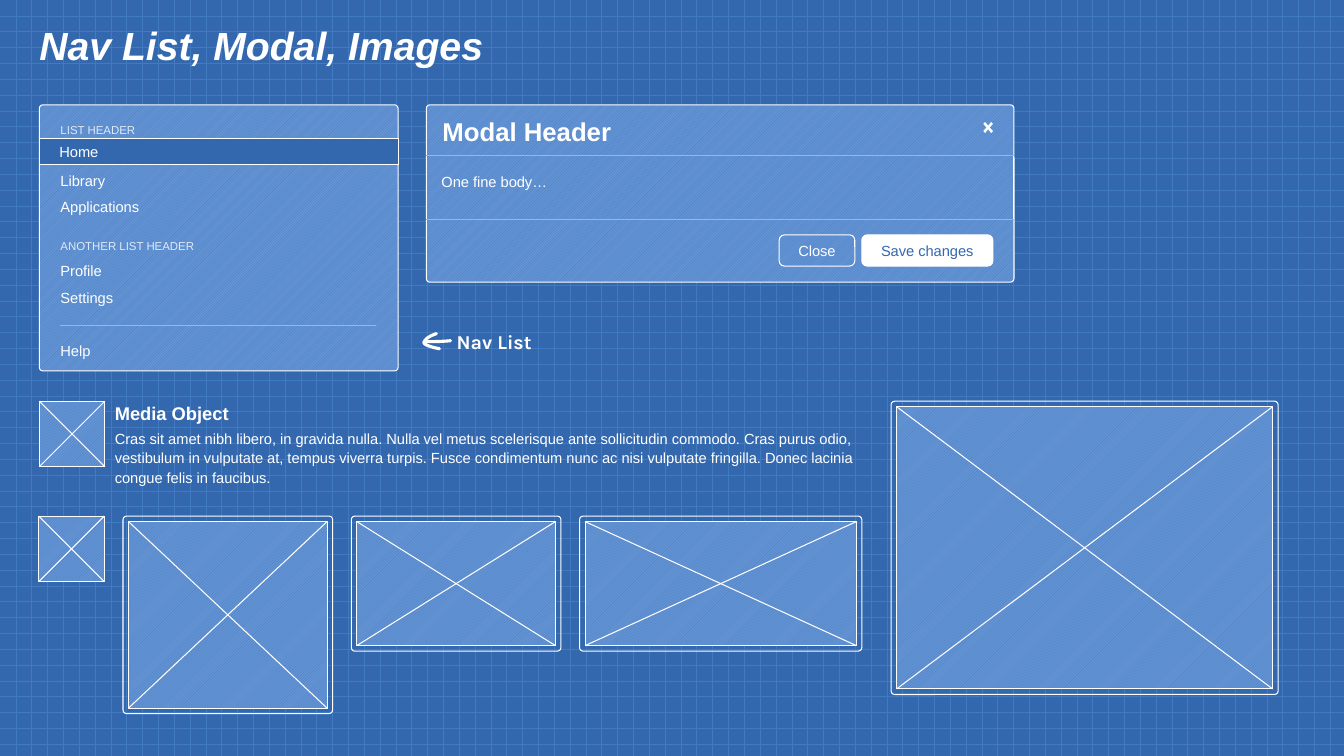
from dataclasses import dataclass

from lxml import etree
from pptx import Presentation
from pptx import util as u
from pptx.dml.color import RGBColor
from pptx.enum import dml, shapes, text
from pptx.oxml import ns

COLORS = {"paper": "3368AF", "grid": "407AC0", "panel": "6493D2", "hatch": "437CC9",
          "white": "FFFFFF", "rule": "97B7E1", "caption": "DFE8F5"}
COLUMNS, ROWS = 133.33, 75  # square cells, a tenth of an inch
CELL = u.Inches(0.1)
RADIUS = 0.36  # corner radius of panels and frames, in cells
MAT = 0.55  # gap between a frame and its image, in cells
BODY = 10.5
TOP, MIDDLE = text.MSO_ANCHOR.TOP, text.MSO_ANCHOR.MIDDLE


@dataclass(frozen=True)
class Area:
    """A rectangle in grid cells."""
    left: float
    top: float
    width: float
    height: float

    @property
    def right(self) -> float:
        """Right edge."""
        return self.left + self.width

    @property
    def bottom(self) -> float:
        """Bottom edge."""
        return self.top + self.height

    def inset(self, gap: float) -> "Area":
        """The area shrunk by a gap on every side."""
        return Area(self.left + gap, self.top + gap, self.width - 2 * gap, self.height - 2 * gap)

    def emu(self) -> list:
        """Left, top, width and height as lengths."""
        return [cells(n) for n in (self.left, self.top, self.width, self.height)]


@dataclass(frozen=True)
class Line:
    """A paragraph with its look."""
    words: str
    size: float = BODY
    color: str = "white"
    bold: bool = False
    spacing: float = 1.0
    before: float = 0
    after: float = 0
    font: str = "Arial"


@dataclass(frozen=True)
class Image:
    """An image stand-in, with or without a frame."""
    area: Area
    framed: bool = True


def cells(count: float) -> int:
    """Turn grid cells into a length."""
    return u.Emu(round(count * CELL))


def rgb(name: str) -> RGBColor:
    """Look up a colour."""
    return RGBColor.from_string(COLORS[name])


def paint(fill, name: str) -> None:
    """Fill with a plain colour, the panel hatch, or nothing."""
    if name == "none":
        fill.background()
    elif name == "panel":
        hatch(fill, dml.MSO_PATTERN.LIGHT_UPWARD_DIAGONAL, "hatch", "panel")
    else:
        fill.solid()
        fill.fore_color.rgb = rgb(name)


def hatch(fill, pattern, front: str, back: str) -> None:
    """Fill with a two-colour pattern."""
    fill.patterned()
    fill.pattern = pattern
    fill.fore_color.rgb, fill.back_color.rgb = rgb(front), rgb(back)


def write(box, lines: list, insets: tuple = (1, 0.5), anchor=TOP,
          align=text.PP_ALIGN.LEFT, wrap: bool = True) -> None:
    """Put paragraphs in a box; insets are side and top, in cells."""
    frame = box.text_frame
    frame.word_wrap, frame.vertical_anchor = wrap, anchor
    frame.margin_left = frame.margin_right = cells(insets[0])
    frame.margin_top, frame.margin_bottom = cells(insets[1]), cells(0.5)
    for index, line in enumerate(lines):
        para = frame.add_paragraph() if index else frame.paragraphs[0]
        para.text, para.alignment = line.words, align
        para.line_spacing = line.spacing
        para.space_before, para.space_after = u.Pt(line.before), u.Pt(line.after)
        para.font.name, para.font.size = line.font, u.Pt(line.size)
        para.font.bold, para.font.color.rgb = line.bold, rgb(line.color)


def add_box(page, area: Area, fill: str = "panel", radius: float = 0):
    """Draw a white-edged box, rounded when a radius is given."""
    kind = shapes.MSO_SHAPE.ROUNDED_RECTANGLE if radius else shapes.MSO_SHAPE.RECTANGLE
    box = page.shapes.add_shape(kind, *area.emu())
    box.shadow.inherit = False
    if radius:
        box.adjustments[0] = radius / min(area.width, area.height)
    paint(box.fill, fill)
    box.line.color.rgb, box.line.width = rgb("white"), u.Pt(0.75)
    return box


def add_rule(page, x1: float, y1: float, x2: float, y2: float, color: str = "white") -> None:
    """Draw a thin straight line."""
    rule = page.shapes.add_connector(shapes.MSO_CONNECTOR.STRAIGHT,
                                     *[cells(n) for n in (x1, y1, x2, y2)])
    rule.line.color.rgb, rule.line.width = rgb(color), u.Pt(0.75)
    etree.SubElement(rule._element.spPr, ns.qn("a:effectLst"))


def add_outline(page, points: list, closed: bool) -> None:
    """Draw a filled shape, or an open stroke, through points given in cells."""
    corners = [(cells(x), cells(y)) for x, y in points]
    builder = page.shapes.build_freeform(*corners[0])
    builder.add_line_segments(corners[1:], close=closed)
    outline = builder.convert_to_shape()
    outline.shadow.inherit = False
    paint(outline.fill, "white" if closed else "none")
    if closed:
        outline.line.fill.background()
    else:
        outline.line.color.rgb, outline.line.width = rgb("white"), u.Pt(2.25)
        outline.line._get_or_add_ln().set("cap", "rnd")


def curve(start: tuple, pull1: tuple, pull2: tuple, end: tuple, steps: int = 12) -> list:
    """Points along a cubic curve."""
    points = []
    for step in range(steps + 1):
        t = step / steps
        weights = ((1 - t) ** 3, 3 * t * (1 - t) ** 2, 3 * t * t * (1 - t), t ** 3)
        points.append(tuple(sum(w * p[axis] for w, p in zip(weights, (start, pull1, pull2, end)))
                            for axis in (0, 1)))
    return points


def add_image(page, image: Image) -> None:
    """Draw a crossed box, inside a frame if it has one."""
    area = image.area
    if image.framed:
        add_box(page, area, "none", RADIUS)
        area = area.inset(MAT)
    add_box(page, area)
    add_rule(page, area.left, area.top, area.right, area.bottom)
    add_rule(page, area.left, area.bottom, area.right, area.top)


def add_nav_list(page, area: Area) -> None:
    """Draw the list panel with its active row."""
    row = 18.9  # points taken by the active row, and by the divider
    items = [("LIST HEADER", 0), ("Library", row), ("Applications", 0),
             ("ANOTHER LIST HEADER", 12), ("Profile", 0), ("Settings", 0), ("Help", row)]
    lines = [Line(words, 8.2 if words.isupper() else BODY,
                  "caption" if words.isupper() else "white", spacing=1.5, before=gap)
             for words, gap in items]
    write(add_box(page, area, radius=RADIUS), lines, (2, 1))
    active = add_box(page, Area(area.left, 13.75, area.width, 2.6), "paper")
    write(active, [Line("Home")], (2, 0.5), MIDDLE)
    add_rule(page, area.left + 2.1, 32.3, area.right - 2.2, 32.3, "rule")


def add_modal(page, area: Area) -> None:
    """Draw the dialog with header, body, buttons and close mark."""
    write(add_box(page, area, radius=RADIUS), [Line("Modal Header", 18.4, bold=True)], (1.5, 1))
    for words, left, width, fill, color in (("Close", 77.3, 7.5, "panel", "white"),
                                            ("Save changes", 85.5, 13, "white", "paper")):
        button = add_box(page, Area(left, 23.3, width, 3.1), fill, 0.52)
        write(button, [Line(words, color=color)], (1.7, 0.5), MIDDLE,
              text.PP_ALIGN.CENTER, False)
    body = Area(area.left, 15.4, area.width, 6.35)
    write(add_box(page, body, "none"), [Line("One fine body…")], (1.5, 1.7))
    for y in (body.top, body.bottom):
        add_rule(page, body.left, y, body.right, y, "rule")
    arms = [(-0.3, -0.55), (-0.48, -0.35), (-0.15, 0), (-0.48, 0.35), (-0.3, 0.55), (0, 0.18),
            (0.3, 0.55), (0.48, 0.35), (0.15, 0), (0.48, -0.35), (0.3, -0.55), (0, -0.18)]
    add_outline(page, [(98.03 + x, 12.65 + y) for x, y in arms], True)


def add_label(page) -> None:
    """Draw the hand-drawn arrow and its label."""
    add_outline(page, curve((43.3, 33.1), (42.7, 33.3), (42.2, 33.6), (42.1, 33.9))
                + curve((42.1, 33.9), (41.9, 34.1), (42.5, 34.4), (43.6, 34.6))[1:], False)
    add_outline(page, curve((42.1, 33.9), (42.7, 33.9), (43.8, 33.9), (44.7, 33.8)), False)
    box = page.shapes.add_textbox(*Area(44.8, 32.3, 9.1, 3.1).emu())
    write(box, [Line("Nav List", 14, bold=True, font="Karla")], (0.5, 0.4), wrap=False)


def main() -> None:
    """Build the deck."""
    deck = Presentation()
    deck.slide_width, deck.slide_height = cells(COLUMNS), cells(ROWS)
    page = deck.slides.add_slide(deck.slide_layouts[5])
    hatch(page.background.fill, dml.MSO_PATTERN.DOTTED_GRID, "grid", "paper")

    title = page.shapes.title
    title.left, title.top, title.width, title.height = Area(2.9, 2.1, 127.5, 5.3).emu()
    write(title, [Line("Nav List, Modal, Images", 28, bold=True, spacing=0.9)], anchor=MIDDLE)
    title.text_frame.paragraphs[0].font.italic = True

    add_nav_list(page, Area(3.9, 10.4, 35.6, 26.4))
    add_modal(page, Area(42.3, 10.4, 58.3, 17.6))
    add_label(page)

    media = page.shapes.add_textbox(*Area(10.4, 39.1, 76.2, 9.7).emu())
    write(media, [
        Line("Media Object", 13.1, bold=True, spacing=1.1, after=3),
        Line("Cras sit amet nibh libero, in gravida nulla. Nulla vel metus scelerisque ante "
             "sollicitudin commodo. Cras purus odio, vestibulum in vulputate at, tempus viverra "
             "turpis. Fusce condimentum nunc ac nisi vulputate fringilla. Donec lacinia congue "
             "felis in faucibus.", spacing=1.1)], anchor=MIDDLE)

    for image in (Image(Area(3.9, 39.8, 6.5, 6.5), False), Image(Area(88.4, 39.8, 38.4, 29.1))):
        add_image(page, image)
    left, gap = 3.85, 1.85
    for width, height, framed in ((6.5, 6.5, False), (20.8, 19.6, True),
                                  (20.8, 13.4, True), (28, 13.4, True)):
        add_image(page, Image(Area(left, 51.2, width, height), framed))
        left += width + gap
    deck.save("out.pptx")


main()
